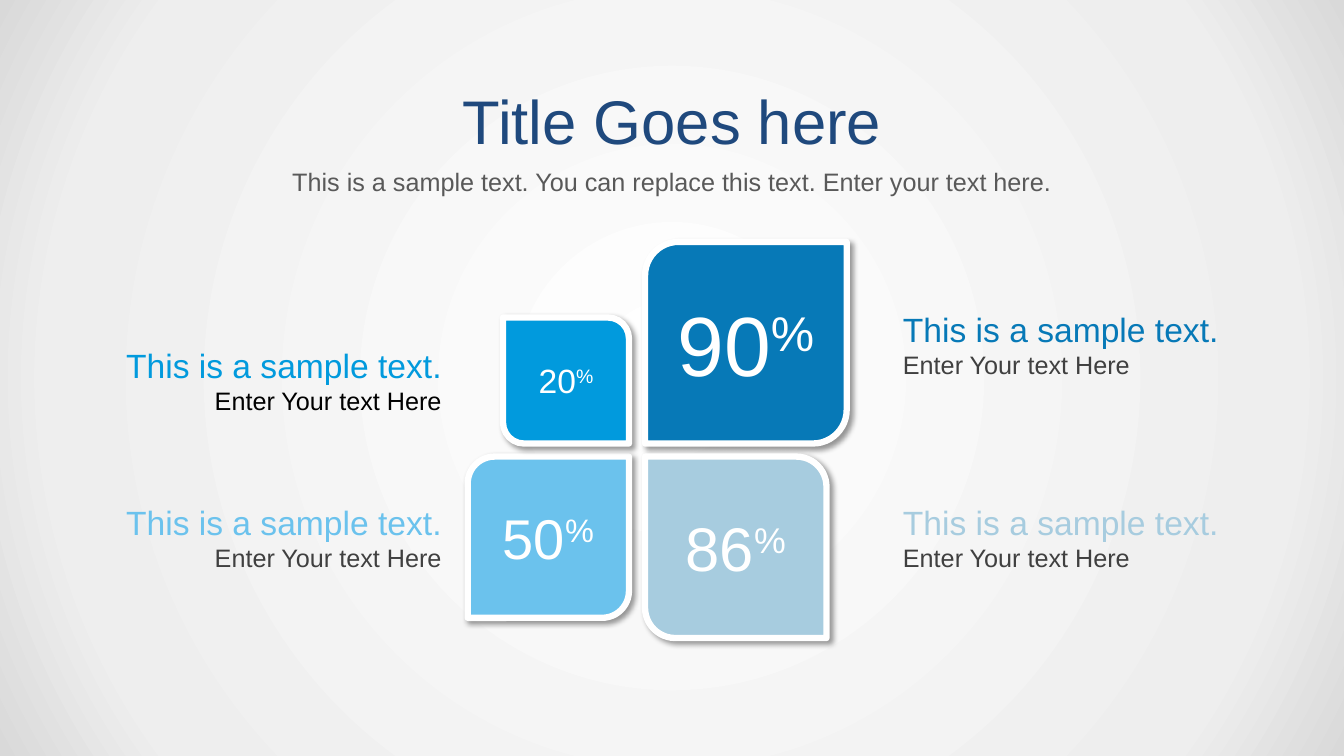
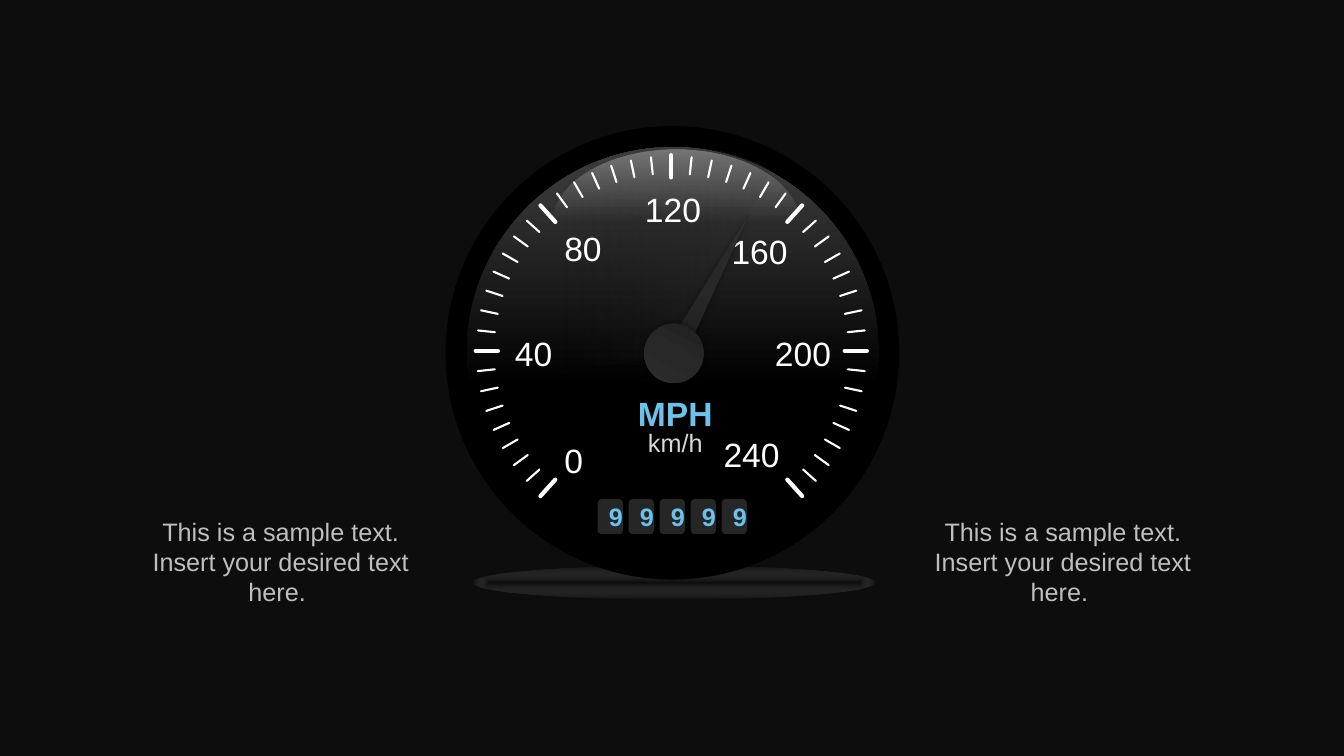
from math import cos, radians, sin

from lxml import etree
from pptx import Presentation
from pptx.dml.color import RGBColor
from pptx.enum.shapes import MSO_CONNECTOR, MSO_SHAPE
from pptx.enum.text import MSO_ANCHOR, MSO_AUTO_SIZE, PP_ALIGN
from pptx.oxml import parse_xml
from pptx.oxml.ns import nsdecls, qn
from pptx.util import Inches, Pt

LEFT, CENTER, RIGHT = PP_ALIGN.LEFT, PP_ALIGN.CENTER, PP_ALIGN.RIGHT
TOP, MIDDLE = MSO_ANCHOR.TOP, MSO_ANCHOR.MIDDLE
FIXED, GROW = MSO_AUTO_SIZE.NONE, MSO_AUTO_SIZE.SHAPE_TO_FIT_TEXT
ELLIPSE, ROUNDED = MSO_SHAPE.OVAL, MSO_SHAPE.ROUNDED_RECTANGLE
LEAF = MSO_SHAPE.ROUND_2_DIAG_RECTANGLE
STRAIGHT = MSO_CONNECTOR.STRAIGHT
TITLE_ONLY, BLANK = 5, 6

FONT = "Arial"
WHITE, BLACK = RGBColor(255, 255, 255), RGBColor(0, 0, 0)
NAVY = RGBColor(0x1F, 0x49, 0x7D)
DEEP_BLUE = RGBColor(0x07, 0x79, 0xB7)
BRIGHT_BLUE = RGBColor(0x01, 0x9A, 0xDD)
SKY_BLUE = RGBColor(0x6B, 0xC2, 0xED)
PALE_BLUE = RGBColor(0xA7, 0xCC, 0xDF)
NIGHT = RGBColor(0x0D, 0x0D, 0x0D)
COAL = RGBColor(0x1C, 0x1C, 0x1C)
CHARCOAL = RGBColor(0x26, 0x26, 0x26)
GRAPHITE = RGBColor(0x28, 0x28, 0x28)
SLATE = RGBColor(0x2F, 0x2F, 0x2F)
DARK_GRAY = RGBColor(0x40, 0x40, 0x40)
MID_GRAY = RGBColor(0x59, 0x59, 0x59)
SILVER = RGBColor(0xBF, 0xBF, 0xBF)
LIGHT_GRAY = RGBColor(0xD9, 0xD9, 0xD9)
MIST = RGBColor(0xEE, 0xEE, 0xEE)

# Gradient stops: position, colour, opacity (all in percent)
PAPER = [(0, WHITE, 100), (81, MIST, 100), (100, LIGHT_GRAY, 100)]
FLOOR = [(0, NIGHT, 38), (100, WHITE, 0)]
FACE = [(0, BLACK, 100), (100, DARK_GRAY, 100)]
SHEEN = [(32, COAL, 0), (100, SLATE, 46)]
GLARE = [(0, WHITE, 30), (48, WHITE, 0)]
METAL = [(0, COAL, 100), (50, GRAPHITE, 100), (100, SLATE, 100)]

TITLE = "Title Goes here"
SUBTITLE = "This is a sample text. You can replace this text. Enter your text here."
LABEL_HEAD, LABEL_DETAIL = "This is a sample text. ", "Enter Your text Here"
# value, text size, side, column, row, colour, label top, detail colour
PETALS = [
    ("90", 60, 2, "right", "upper", DEEP_BLUE, 3.02, DARK_GRAY),
    ("50", 40, 1.6, "left", "lower", SKY_BLUE, 4.93, DARK_GRAY),
    ("20", 24, 1.25, "left", "upper", BRIGHT_BLUE, 3.37, BLACK),
    ("86", 44, 1.8, "right", "lower", PALE_BLUE, 4.93, DARK_GRAY),
]
PETAL_X = {"left": 6.24, "right": 6.4}
PETAL_Y = {"upper": 4.4, "lower": 4.53}
LABELS = {"left": (1.01, RIGHT), "right": (8.86, LEFT)}

CAPTION = "This is a sample text. Insert your desired text here. "
CAPTION_X = (1.37, 9.13)
SPEEDS = [
    ("0", 5.5, 4.32, 0.39), ("40", 5.01, 3.25, 0.58), ("80", 5.5, 2.21, 0.58),
    ("120", 6.3, 1.83, 0.76), ("160", 7.16, 2.24, 0.76),
    ("200", 7.59, 3.25, 0.76), ("240", 7.08, 4.26, 0.76),
]
ODOMETER = "99999"
ODOMETER_X = (5.93, 7.16)
DIAL_CENTER = (6.66, 3.48)
TICK_DEGREES, LAST_TICK = 6, 23
MAJOR_TICKS = {0, 7, 15, 23}
NEEDLE_ANGLE = 28.2

# Outlines: a start point, then line ends (2 numbers) or Bezier curves (6)
FACE_OUTLINE = [
    (6.67, 1.46), (7.8, 1.46, 8.72, 2.37, 8.72, 3.5),
    (8.72, 3.62, 8.71, 3.73, 8.69, 3.84), (7.18, 4.03, 5.56, 3.96, 4.66, 3.85),
    (4.64, 3.73, 4.63, 3.62, 4.63, 3.5), (4.63, 2.37, 5.55, 1.46, 6.67, 1.46),
]
SHEEN_OUTLINE = [
    (6.7, 1.46), (7.04, 1.47, 7.33, 1.52, 7.64, 1.7), (6.67, 3.53), (4.67, 3.82),
    (4.64, 3.71, 4.63, 3.59, 4.63, 3.48), (4.63, 2.35, 5.57, 1.46, 6.7, 1.46),
]
NEEDLE_OUTLINE = [
    (6.95, 3.64), (6.98, 3.11, 7.01, 2.6, 7.05, 2.04), (7.15, 3.64), (6.95, 3.64),
]


def inches(*lengths):
    return [Inches(length) for length in lengths]


def set_gradient(owner, properties, stops, angle=None, focus="circle"):
    """Fill with a linear gradient, or one spreading from the centre if angle is None."""
    owner.fill.solid()
    owner.fill.fore_color.rgb = stops[0][1]
    marks = "".join(
        f'<a:gs pos="{position * 1000}"><a:srgbClr val="{color}">'
        f'<a:alpha val="{opacity * 1000}"/></a:srgbClr></a:gs>'
        for position, color, opacity in stops)
    if angle is None:
        course = (f'<a:path path="{focus}"><a:fillToRect l="50000" t="50000" '
                  'r="50000" b="50000"/></a:path>')
    else:
        course = f'<a:lin ang="{angle * 60000}" scaled="0"/>'
    gradient = parse_xml(f'<a:gradFill {nsdecls("a")} rotWithShape="1">'
                         f'<a:gsLst>{marks}</a:gsLst>{course}</a:gradFill>')
    solid = properties.find(qn("a:solidFill"))
    properties.replace(solid, gradient)


def paint(shape, fill, angle=None, focus="circle"):
    """Fill with one colour or a list of stops, with no line or shadow."""
    shape.shadow.inherit = False
    shape.line.fill.background()
    if isinstance(fill, RGBColor):
        shape.fill.solid()
        shape.fill.fore_color.rgb = fill
    else:
        set_gradient(shape, shape.element.spPr, fill, angle, focus)
    return shape


def cast_shadow(shape, blur, distance, angle):
    effects = shape.element.spPr.find(qn("a:effectLst"))
    effects.append(parse_xml(
        f'<a:outerShdw {nsdecls("a")} blurRad="{Pt(blur)}" dist="{Pt(distance)}" '
        f'dir="{angle * 60000}" algn="ctr" rotWithShape="0"><a:srgbClr val="000000">'
        '<a:alpha val="40000"/></a:srgbClr></a:outerShdw>'))


def write(frame, text, size, color, align=LEFT, bold=False, anchor=TOP, wrap=True,
          fit=FIXED):
    frame.word_wrap = wrap
    frame.auto_size = fit
    frame.vertical_anchor = anchor
    paragraph = frame.paragraphs[0]
    paragraph.alignment = align
    font = paragraph.font
    font.name, font.size, font.bold = FONT, Pt(size), bold
    font.color.rgb = color
    paragraph.add_run().text = text
    return paragraph


def add_text(slide, box, *args, **style):
    frame = slide.shapes.add_textbox(*inches(*box)).text_frame
    return write(frame, *args, fit=GROW, **style)


def add_shape(slide, kind, box, fill, angle=None, focus="circle"):
    return paint(slide.shapes.add_shape(kind, *inches(*box)), fill, angle, focus)


def add_outline(slide, outline, stops, angle):
    """Draw straight sides between the end points, then bend those that are curves."""
    start, *sides = [inches(*segment) for segment in outline]
    builder = slide.shapes.build_freeform(*start)
    builder.add_line_segments([side[-2:] for side in sides], close=True)
    shape = builder.convert_to_shape()
    drawn = list(shape.element.iter(qn("a:lnTo")))
    for line, side in zip(drawn, sides):
        if len(side) == 6:
            points = "".join(f'<a:pt x="{x - shape.left}" y="{y - shape.top}"/>'
                             for x, y in zip(side[::2], side[1::2]))
            curve = f'<a:cubicBezTo {nsdecls("a")}>{points}</a:cubicBezTo>'
            line.getparent().replace(line, parse_xml(curve))
    return paint(shape, stops, angle)


def add_petal(slide, value, size, side, column, row, color):
    left = PETAL_X[column] - (side if column == "left" else 0)
    top = PETAL_Y[row] - (side if row == "upper" else 0)
    petal = add_shape(slide, LEAF, (left, top, side, side), color)
    rising = (column, row) in {("right", "upper"), ("left", "lower")}
    petal.adjustments[0], petal.adjustments[1] = (1 / 6, 0) if rising else (0, 1 / 6)
    petal.line.color.rgb = WHITE
    petal.line.width = Pt(4.5)
    cast_shadow(petal, 4, 3, 45)
    number = write(petal.text_frame, value, size, WHITE, CENTER, anchor=MIDDLE)
    percent = number.add_run()
    percent.text = "%"
    percent.font.size = Pt(size)
    percent.font._element.set("baseline", "30000")


def add_label(slide, column, top, color, detail_color):
    left, align = LABELS[column]
    label = add_text(slide, (left, top, 3.47, 0.81), LABEL_HEAD, 24, color, align)
    detail = label.add_run()
    detail.text = LABEL_DETAIL
    detail.font.size = Pt(18)
    detail.font.color.rgb = detail_color


def add_tick(slide, number):
    major = abs(number) in MAJOR_TICKS
    angle = radians(number * TICK_DEGREES)
    x, y = DIAL_CENTER
    ends = []
    for radius in (1.94, 1.72) if major else (1.93, 1.76):
        ends += inches(x + radius * sin(angle), y - radius * cos(angle))
    tick = slide.shapes.add_connector(STRAIGHT, *ends)
    tick.line.color.rgb = WHITE
    tick.line.width = Pt(3 if major else 1.5)
    properties = tick.element.spPr
    properties.find(qn("a:ln")).set("cap", "rnd")
    etree.SubElement(properties, qn("a:effectLst"))


def build_petals(deck):
    slide = deck.slides.add_slide(deck.slide_layouts[TITLE_ONLY])
    background = slide.background
    background.fill.solid()
    set_gradient(background, slide.element.find(".//" + qn("p:bgPr")), PAPER)
    title = slide.shapes.title
    title.left, title.top, title.width, title.height = inches(4.34, 0.77, 4.66, 0.84)
    write(title.text_frame, TITLE, 44, NAVY, CENTER)
    add_text(slide, (2.61, 1.6, 8.11, 0.4), SUBTITLE, 18, MID_GRAY, CENTER)
    for value, size, side, column, row, color, label_top, detail_color in PETALS:
        add_petal(slide, value, size, side, column, row, color)
        add_label(slide, column, label_top, color, detail_color)


def build_speedometer(deck):
    slide = deck.slides.add_slide(deck.slide_layouts[BLANK])
    slide.background.fill.solid()
    slide.background.fill.fore_color.rgb = NIGHT

    add_shape(slide, ELLIPSE, (4.69, 5.61, 4, 0.34), FLOOR, focus="shape")
    add_shape(slide, ELLIPSE, (4.42, 1.25, 4.5, 4.5), BLACK)
    add_outline(slide, FACE_OUTLINE, FACE, 270)
    add_outline(slide, SHEEN_OUTLINE, SHEEN, 0)
    add_shape(slide, ELLIPSE, (5.48, 1.48, 2.45, 1.47), GLARE, 90)

    for number in range(-LAST_TICK, LAST_TICK + 1):
        add_tick(slide, number)
    for speed, left, top, width in SPEEDS:
        add_text(slide, (left, top, width, 0.5), speed, 24, WHITE, wrap=False)
    first, last = ODOMETER_X
    pitch = (last - first) / (len(ODOMETER) - 1)
    for place, digit in enumerate(ODOMETER):
        box = (first + pitch * place, 4.95, 0.25, 0.35)
        wheel = add_shape(slide, ROUNDED, box, CHARCOAL)
        write(wheel.text_frame, digit, 18, SKY_BLUE, CENTER, bold=True, anchor=MIDDLE)
    add_text(slide, (6.23, 3.85, 0.95, 0.5), "MPH", 24, SKY_BLUE, bold=True, wrap=False)
    add_text(slide, (6.33, 4.19, 0.75, 0.4), "km/h", 18, LIGHT_GRAY, wrap=False)

    needle = add_outline(slide, NEEDLE_OUTLINE, METAL, 270)
    hub = add_shape(slide, ELLIPSE, (6.39, 3.21, 0.59, 0.59), METAL, 90)
    for part in (needle, hub):
        part.rotation = NEEDLE_ANGLE
        cast_shadow(part, 5, 0, 0)
    for left in CAPTION_X:
        add_text(slide, (left, 5.07, 2.83, 1.01), CAPTION, 18, SILVER, CENTER)


def main():
    deck = Presentation()
    deck.slide_width, deck.slide_height = inches(40 / 3, 7.5)
    build_petals(deck)
    build_speedometer(deck)
    deck.save("out.pptx")


if __name__ == "__main__":
    main()
